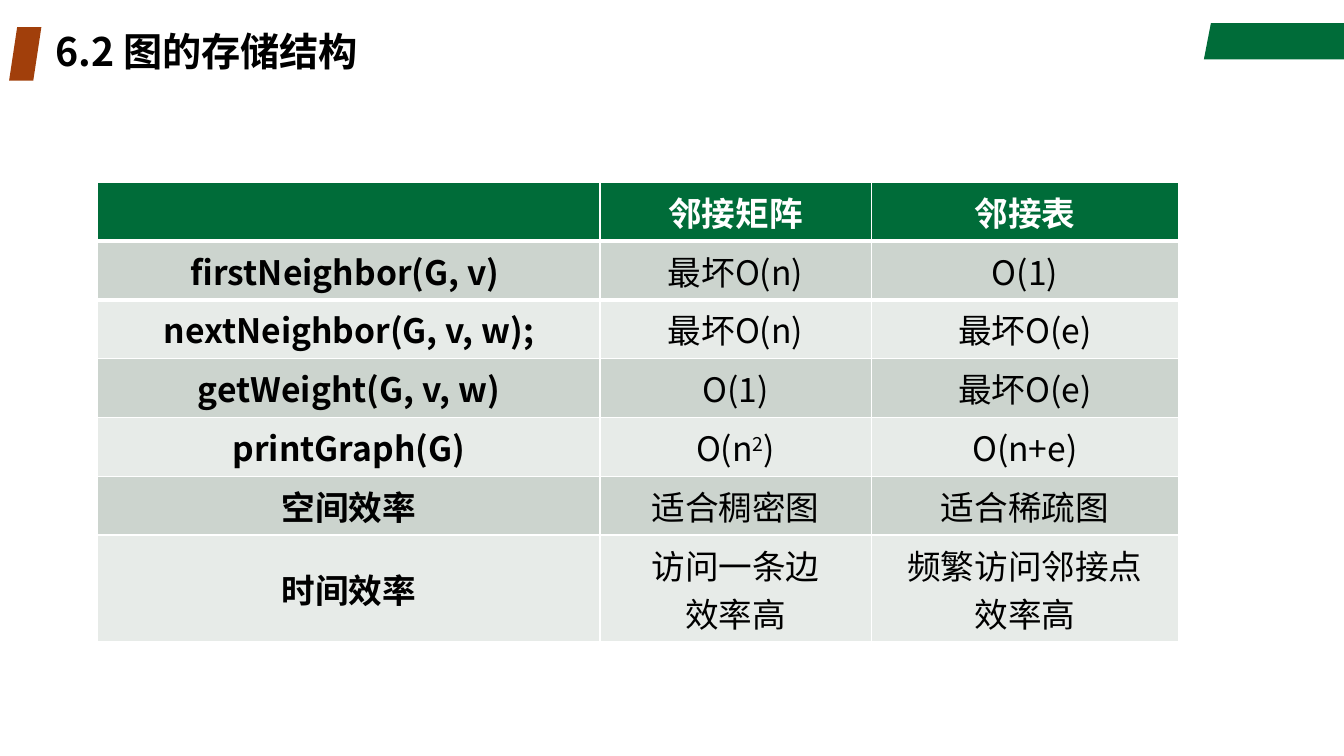
from lxml.etree import SubElement
from pptx import Presentation
from pptx.dml.color import RGBColor
from pptx.enum.shapes import MSO_SHAPE as Preset
from pptx.enum.text import MSO_ANCHOR as Anchor, MSO_AUTO_SIZE as AutoSize, PP_ALIGN as Align
from pptx.oxml import parse_xml
from pptx.oxml.ns import nsdecls, qn
from pptx.util import Inches, Pt

FONT = "Noto Sans CJK SC"
GREEN, RUST, BLACK, WHITE = "006C39", "A13F0B", "000000", "FFFFFF"
BANDS = ("CCD4CE", "E7EBE8")
COLUMNS = (4.98, 2.69, 3.05)
TABLE_HEIGHT, LAST_ROW = 4.56, 1.06
COMPARISON = (
    ("", "邻接矩阵", "邻接表"),
    ("firstNeighbor(G, v) ", "最坏O(n)", "O(1)"),
    ("nextNeighbor(G, v, w);", "最坏O(n)", "最坏O(e)"),
    ("getWeight(G, v, w)", "O(1)", "最坏O(e)"),
    ("printGraph(G)", "O(n^2^)", "O(n+e)"),
    ("空间效率", "适合稠密图", "适合稀疏图"),
    ("时间效率", "访问一条边\n效率高", "频繁访问邻接点\n效率高"),
)


def color(value):
    return RGBColor.from_string(value)


def apply(target, values):
    for name, value in values.items():
        setattr(target, name, value)


def paint(shape, fill):
    shape.shadow.inherit = False
    shape.fill.solid()
    shape.fill.fore_color.rgb = color(fill)
    shape.line.fill.background()


def write(para, text, size, fill, bold):
    for index, part in enumerate(text.split("^")):
        span = para.add_run()
        span.text = part
        apply(span.font, {"name": FONT, "size": Pt(size), "bold": bold})
        span.font.color.rgb = color(fill)
        props = span._r.get_or_add_rPr()
        SubElement(props, qn("a:ea"), typeface=FONT)
        if index % 2:
            props.set("baseline", "30000")


def add_heading(page, left, top, width, height):
    marker = page.shapes.add_shape(
        Preset.PARALLELOGRAM, Inches(left), Inches(top), Inches(0.32), Inches(height))
    paint(marker, RUST)
    title = page.shapes.title
    indent = 0.36
    apply(title, {"left": Inches(left + indent), "top": Inches(top),
                  "width": Inches(width - indent), "height": Inches(height)})
    apply(title.text_frame, {"word_wrap": True, "vertical_anchor": Anchor.MIDDLE,
                             "auto_size": AutoSize.SHAPE_TO_FIT_TEXT})
    para = title.text_frame.paragraphs[0]
    apply(para, {"alignment": Align.LEFT, "line_spacing": 0.9})
    write(para, "6.2 图的存储结构", 28, BLACK, True)


def add_corner_flag(page, left, top, width, height):
    right, bottom, slant = left + width, top + height, 0.07
    outline = page.shapes.build_freeform(Inches(left + slant), Inches(top))
    outline.add_line_segments(
        [(Inches(x), Inches(y)) for x, y in ((right, top), (right, bottom), (left, bottom))])
    paint(outline.convert_to_shape(), GREEN)


def add_border(cell, side, width):
    line = parse_xml(
        f'<a:{side} {nsdecls("a")} w="{Pt(width)}"><a:solidFill>'
        f'<a:srgbClr val="{WHITE}"/></a:solidFill></a:{side}>')
    cell._tc.get_or_add_tcPr().insert(0, line)


def fill_cell(cell, text, fill, ink, bold):
    cell.fill.solid()
    cell.fill.fore_color.rgb = color(fill)
    cell.vertical_anchor = Anchor.MIDDLE
    frame = cell.text_frame
    for index, line in enumerate(text.split("\n")):
        para = frame.add_paragraph() if index else frame.paragraphs[0]
        para.alignment = Align.CENTER
        write(para, line, 24, ink, bold)


def add_comparison(page, left, top):
    body_rows = len(COMPARISON) - 1
    heights = [(TABLE_HEIGHT - LAST_ROW) / body_rows] * body_rows + [LAST_ROW]
    table = page.shapes.add_table(
        len(heights), len(COLUMNS), Inches(left), Inches(top),
        Inches(sum(COLUMNS)), Inches(TABLE_HEIGHT)).table
    for column, width in zip(table.columns, COLUMNS):
        column.width = Inches(width)
    for r, (height, texts) in enumerate(zip(heights, COMPARISON)):
        table.rows[r].height = Inches(height)
        header = r == 0
        fill = GREEN if header else BANDS[(r - 1) % 2]
        for c, text in enumerate(texts):
            fill_cell(table.cell(r, c), text, fill, WHITE if header else BLACK, header or c == 0)
    for c in range(len(COLUMNS)):
        add_border(table.cell(0, c), "lnB", 3)
        add_border(table.cell(1, c), "lnT", 3)


def main():
    deck = Presentation()
    apply(deck, {"slide_width": Inches(13.33), "slide_height": Inches(7.5)})
    page = deck.slides.add_slide(deck.slide_layouts[5])
    add_corner_flag(page, 11.94, 0.23, 1.39, 0.36)
    add_heading(page, 0.09, 0.27, 9.81, 0.53)
    add_comparison(page, 0.97, 1.81)
    deck.save("out.pptx")


if __name__ == "__main__":
    main()
